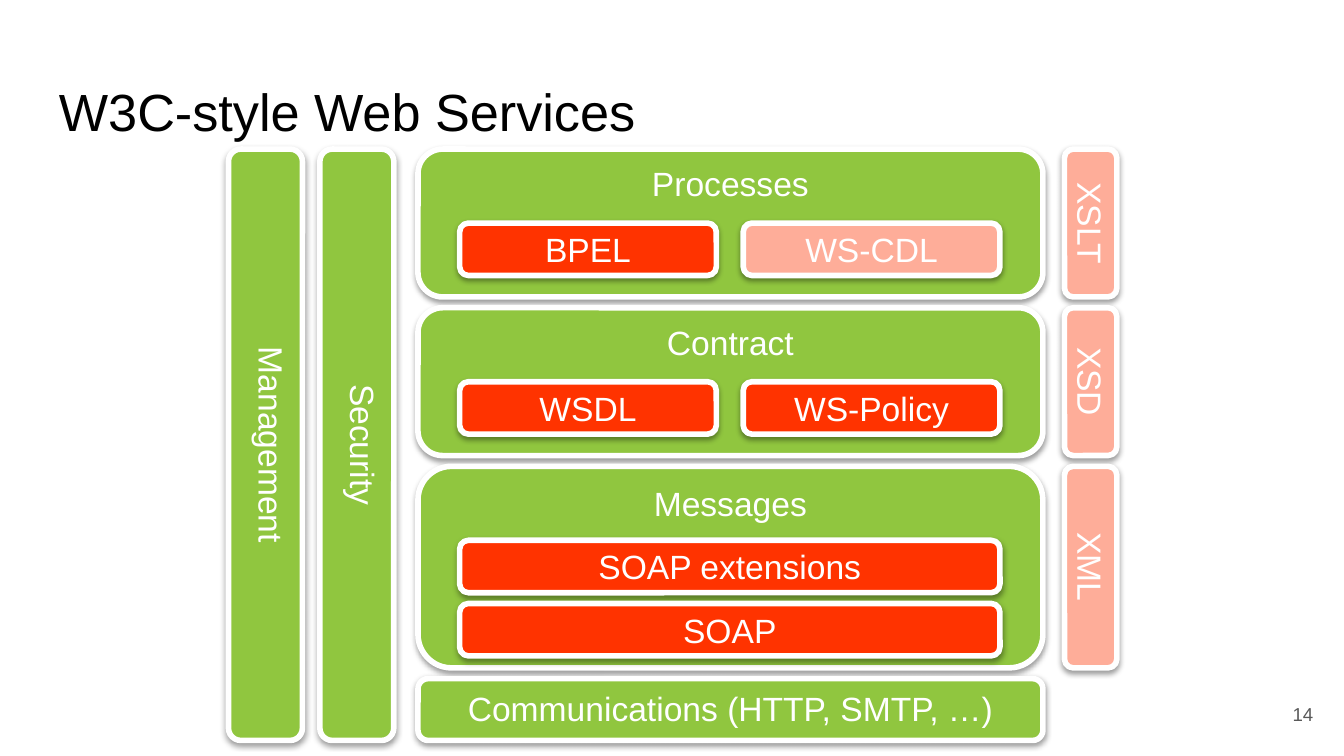
"""Build a slide showing the W3C-style Web Services stack as layered blocks."""
from lxml import etree
from pptx import Presentation
from pptx.dml.color import RGBColor
from pptx.enum.shapes import MSO_SHAPE
from pptx.enum.text import MSO_ANCHOR, PP_ALIGN
from pptx.oxml.ns import qn
from pptx.util import Inches, Pt

ROUNDED = MSO_SHAPE.ROUNDED_RECTANGLE
TOP, MIDDLE = MSO_ANCHOR.TOP, MSO_ANCHOR.MIDDLE
LEFT, CENTER, RIGHT = PP_ALIGN.LEFT, PP_ALIGN.CENTER, PP_ALIGN.RIGHT

COLORS = {
    "layer": "90C63F", "standard": "FF3300", "faded": "FEAD99",
    "white": "FFFFFF", "black": "000000", "gray": "595959",
}
FONT = "Arial"

TITLE = "W3C-style Web Services"
PAGE_NUMBER = "14"
LAYERS = [
    {"name": "Processes", "height": 1.1, "side": "XSLT",
     "rows": [[("BPEL", "standard"), ("WS-CDL", "faded")]]},
    {"name": "Contract", "height": 1.1, "side": "XSD",
     "rows": [[("WSDL", "standard"), ("WS-Policy", "standard")]]},
    {"name": "Messages", "height": 1.5, "side": "XML",
     "rows": [[("SOAP extensions", "standard")], [("SOAP", "standard")]]},
    {"name": "Communications (HTTP, SMTP, …)", "height": 0.46, "side": None, "rows": []},
]
PILLARS = [("Management", 1.7), ("Security", 2.38)]

SLIDE_WIDTH = Inches(10)
SLIDE_HEIGHT = SLIDE_WIDTH * 9 // 16
STACK_LEFT, STACK_TOP, STACK_WIDTH, STACK_GAP = 3.11, 1.11, 4.65, 0.08
INNER_LEFT, INNER_WIDTH, INNER_GAP = 3.42, 4.02, 0.2
INNER_OFFSET, ROW_PITCH, BLOCK_HEIGHT = 0.55, 0.47, 0.39
SIDE_LEFT, PILLAR_WIDTH = 7.92, 0.55


def write_text(shape, text, size, color, align, anchor, margin):
    """Put one formatted line of text in a shape."""
    frame = shape.text_frame
    settings = {
        "word_wrap": True, "vertical_anchor": anchor,
        "margin_left": Inches(0.1), "margin_right": Inches(0.1),
        "margin_top": Inches(margin), "margin_bottom": Inches(margin),
    }
    for name, value in settings.items():
        setattr(frame, name, value)
    paragraph = frame.paragraphs[0]
    paragraph.alignment = align
    run = paragraph.add_run()
    run.text = text
    for name, value in {"name": FONT, "size": Pt(size)}.items():
        setattr(run.font, name, value)
    run.font.color.rgb = RGBColor.from_string(COLORS[color])


def add_label(slide, box, text, size, color, align, anchor):
    """Add a plain text box."""
    shape = slide.shapes.add_textbox(*map(Inches, box))
    write_text(shape, text, size, color, align, anchor, 0.1)


def add_shadow(shape):
    """Give a shape a soft shadow that falls straight down."""
    shape.shadow.inherit = False
    effects = shape._element.spPr.find(qn("a:effectLst"))
    shadow = etree.SubElement(
        effects, qn("a:outerShdw"), blurRad=str(Pt(3.1)), dist=str(Pt(1.6)),
        dir="5400000", rotWithShape="0")
    color = etree.SubElement(shadow, qn("a:srgbClr"), val=COLORS["black"])
    etree.SubElement(color, qn("a:alpha"), val="38000")


def add_block(slide, box, text, fill, anchor=MIDDLE, upright=True):
    """Add a rounded block that covers box, turned by 90 degrees if not upright."""
    left, top, width, height = box
    if not upright:
        shift = (width - height) / 2
        left, top, width, height = left + shift, top - shift, height, width
    shape = slide.shapes.add_shape(ROUNDED, *map(Inches, (left, top, width, height)))
    shape.rotation = 0 if upright else 90
    shape.fill.solid()
    shape.fill.fore_color.rgb = RGBColor.from_string(COLORS[fill])
    shape.line.color.rgb = RGBColor.from_string(COLORS["white"])
    shape.line.width = Pt(3)
    add_shadow(shape)
    write_text(shape, text, 18, "white", CENTER, anchor, 0.05)


def add_layer(slide, layer, top):
    """Add a layer with its rows of standards and its side block."""
    height = layer["height"]
    add_block(slide, (STACK_LEFT, top, STACK_WIDTH, height), layer["name"], "layer", TOP)
    for row_index, row in enumerate(layer["rows"]):
        row_top = top + INNER_OFFSET + row_index * ROW_PITCH
        width = (INNER_WIDTH - INNER_GAP * (len(row) - 1)) / len(row)
        for column, (text, fill) in enumerate(row):
            left = INNER_LEFT + column * (width + INNER_GAP)
            add_block(slide, (left, row_top, width, BLOCK_HEIGHT), text, fill)
    if layer["side"]:
        box = (SIDE_LEFT, top, BLOCK_HEIGHT, height)
        add_block(slide, box, layer["side"], "faded", upright=False)


def main():
    """Lay out the slide and save it."""
    presentation = Presentation()
    presentation.slide_width = SLIDE_WIDTH
    presentation.slide_height = SLIDE_HEIGHT
    slide = presentation.slides.add_slide(presentation.slide_layouts[6])
    add_label(slide, (0.34, 0.49, 9.32, 0.63), TITLE, 28, "black", LEFT, TOP)
    add_label(slide, (9.27, 5.1, 0.6, 0.43), PAGE_NUMBER, 10, "gray", RIGHT, MIDDLE)

    top = STACK_TOP
    for layer in LAYERS:
        add_layer(slide, layer, top)
        top += layer["height"] + STACK_GAP

    stack_height = top - STACK_GAP - STACK_TOP
    for text, left in PILLARS:
        box = (left, STACK_TOP, PILLAR_WIDTH, stack_height)
        add_block(slide, box, text, "layer", TOP, upright=False)
    presentation.save("out.pptx")


if __name__ == "__main__":
    main()
